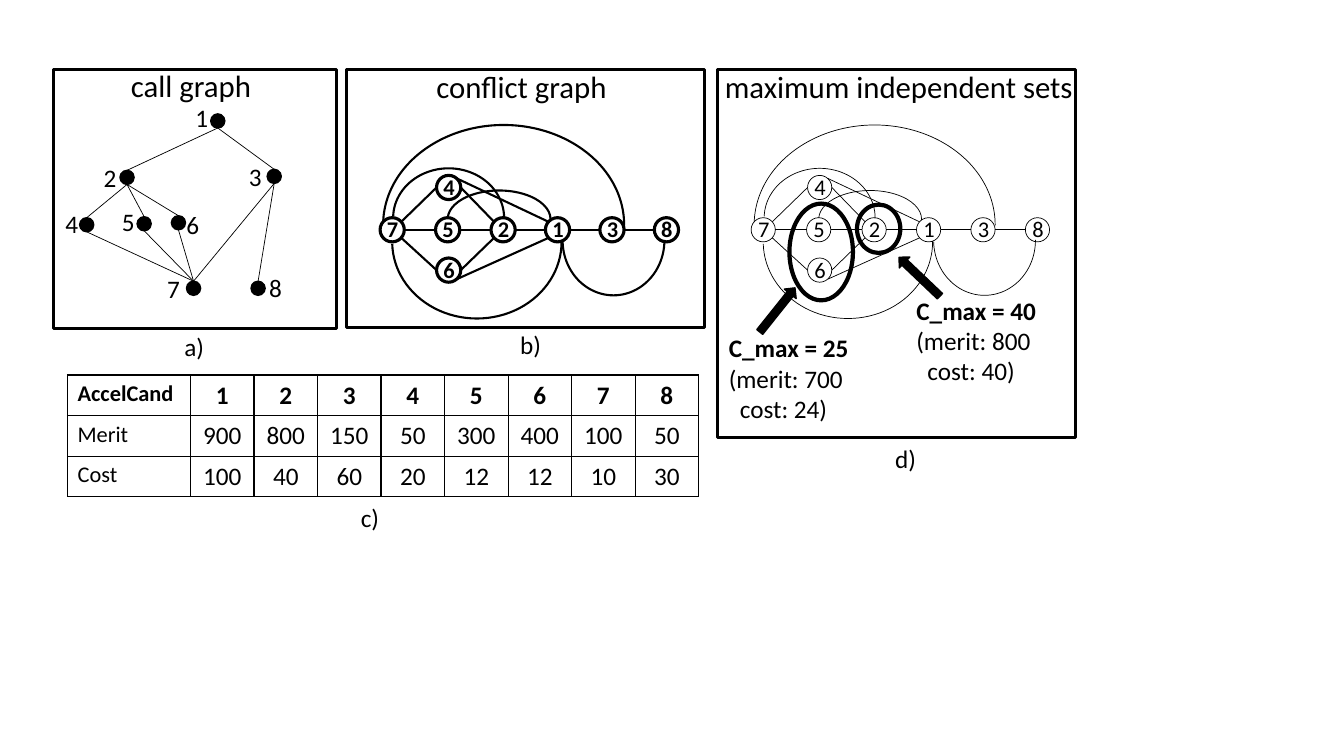
from lxml import etree
from pptx import Presentation
from pptx.dml.color import RGBColor
from pptx.enum import shapes, text
from pptx.oxml.ns import qn
from pptx.util import Inches, Pt

INK = "000000"
WHITE = "FFFFFF"
SHAPE = shapes.MSO_SHAPE
LEFT, CENTER = text.PP_ALIGN.LEFT, text.PP_ALIGN.CENTER

CALL_NODES = {
    1: (2.16, 1.2, 1.84, 0.97),
    2: (1.26, 1.76, 0.93, 1.56),
    3: (2.72, 1.75, 2.37, 1.55),
    4: (0.86, 2.23, 0.55, 2.02),
    5: (1.43, 2.22, 1.11, 2.0),
    6: (1.77, 2.21, 1.75, 2.03),
    7: (1.92, 2.86, 1.56, 2.66),
    8: (2.56, 2.86, 2.57, 2.65),
}
CALL_EDGES = [(1, 2), (1, 3), (2, 4), (2, 5), (2, 6), (4, 7), (5, 7),
              (6, 7), (3, 7), (3, 8)]

CHAIN_Y = 2.28
CHAIN = {7: 3.89, 5: 4.44, 2: 4.99, 1: 5.53, 3: 6.07, 8: 6.61}
CONFLICT_NODES = {n: (x, CHAIN_Y) for n, x in CHAIN.items()}
CONFLICT_NODES.update({4: (4.45, 1.86), 6: (4.45, 2.68)})
SLANTED_EDGES = [
    (4.57, 1.86, 4.9, 2.2), (4.57, 2.68, 4.9, 2.36),
    (4.33, 1.86, 3.98, 2.2), (4.33, 2.68, 3.98, 2.36),
    (4.53, 1.77, 5.44, 2.2), (4.53, 2.77, 5.44, 2.36),
]
ARCS = [
    (4.44, 1.89, 1.02, 0.57, 0.43, False),
    (3.8, 1.24, 2.39, 1.98, 0.14, False),
    (3.9, 1.67, 1.1, 0.98, 0.43, False),
    (3.89, 1.64, 1.68, 1.52, 0.31, True),
    (5.58, 1.84, 1.01, 1.09, 0.31, True),
]

CANDIDATES = [
    ["AccelCand", 1, 2, 3, 4, 5, 6, 7, 8],
    ["Merit", 900, 800, 150, 50, 300, 400, 100, 50],
    ["Cost", 100, 40, 60, 20, 12, 12, 10, 30],
]


def color(value):
    return RGBColor.from_string(value)


def add_text(tf, content, size=18, bold=False, align=LEFT, indent=0):
    p = tf.paragraphs[0]
    if p.runs:
        p = tf.add_paragraph()
    p.alignment = align
    if indent:
        p._p.get_or_add_pPr().set("marL", str(Inches(indent)))
    r = p.add_run()
    r.text = content
    r.font.name = "Calibri"
    r.font.size = Pt(size)
    r.font.bold = bold
    r.font.color.rgb = color(INK)


def add_box(s, x, y, w, h, wrap=True):
    sp = s.shapes.add_textbox(Inches(x), Inches(y), Inches(w), Inches(h))
    tf = sp.text_frame
    tf.word_wrap = wrap
    tf.auto_size = text.MSO_AUTO_SIZE.SHAPE_TO_FIT_TEXT
    return tf


def add_shape(s, kind, x, y, w, h, weight, fill=None):
    sp = s.shapes.add_shape(kind, Inches(x), Inches(y), Inches(w), Inches(h))
    sp.shadow.inherit = False
    if fill:
        sp.fill.solid()
        sp.fill.fore_color.rgb = color(fill)
    else:
        sp.fill.background()
    sp.line.color.rgb = color(INK)
    sp.line.width = Pt(weight)
    return sp


def add_line(s, x1, y1, x2, y2, weight):
    line = s.shapes.add_connector(shapes.MSO_CONNECTOR.STRAIGHT, Inches(x1),
                                  Inches(y1), Inches(x2), Inches(y2))
    line.line.color.rgb = color(INK)
    line.line.width = Pt(weight)
    etree.SubElement(line._element.spPr, qn("a:effectLst"))


def add_arc(s, x, y, w, h, end, flipped, weight):
    sp = add_shape(s, SHAPE.ARC, x, y, w, h, weight)
    sp.adjustments[0] = 108.81
    sp.adjustments[1] = end
    if flipped:
        sp._element.spPr.xfrm.set("flipV", "1")


def add_arrow(s, x, y, angle):
    sp = add_shape(s, SHAPE.RIGHT_ARROW, x, y, 0.56, 0.15, 1, INK)
    sp.rotation = angle


def add_panel(s, x, w, h, title, title_x, title_y, title_w):
    add_shape(s, SHAPE.RECTANGLE, x, 0.69, w, h, 2.25)
    add_text(add_box(s, title_x, title_y, title_w, 0.47, False), title, 22)


def add_call_graph(s):
    radius = 0.07
    for n, (x, y, label_x, label_y) in CALL_NODES.items():
        add_shape(s, SHAPE.OVAL, x - radius, y - radius,
                  2 * radius, 2 * radius, 1, INK)
        add_text(add_box(s, label_x, label_y, 0.26, 0.4), str(n))
    for caller, callee in CALL_EDGES:
        x1, y1 = CALL_NODES[caller][:2]
        x2, y2 = CALL_NODES[callee][:2]
        add_line(s, x1, y1 + radius, x2, y2 - radius, 0.5)


def add_conflict_graph(s, dx, node_weight, edge_weight, bold):
    radius = 0.12
    for n, (x, y) in CONFLICT_NODES.items():
        add_shape(s, SHAPE.OVAL, x + dx - radius, y - radius, 2 * radius,
                  2 * radius, node_weight, WHITE if n in (1, 2, 7) else None)
    stops = list(CHAIN.values())
    for x1, x2 in zip(stops, stops[1:]):
        add_line(s, x1 + dx + radius, CHAIN_Y, x2 + dx - radius, CHAIN_Y,
                 edge_weight)
    for x1, y1, x2, y2 in SLANTED_EDGES:
        add_line(s, x1 + dx, y1, x2 + dx, y2, edge_weight)
    for x, *rest in ARCS:
        add_arc(s, x + dx, *rest, edge_weight)
    for n, (x, y) in CONFLICT_NODES.items():
        add_text(add_box(s, x + dx - 0.15, y - 0.19, 0.47, 0.37), str(n),
                 16, bold)


def add_borders(cell):
    tcPr = cell._tc.get_or_add_tcPr()
    for side in ("a:lnL", "a:lnR", "a:lnT", "a:lnB"):
        ln = etree.SubElement(tcPr, qn(side), w=str(Pt(1)))
        fill = etree.SubElement(ln, qn("a:solidFill"))
        etree.SubElement(fill, qn("a:srgbClr"), val=INK)


def add_candidate_table(s):
    table = s.shapes.add_table(3, 9, Inches(0.67), Inches(3.72),
                               Inches(6.25), Inches(1.21)).table
    table.first_row = table.horz_banding = False
    for i, column in enumerate(table.columns):
        column.width = Inches(0.63 if i else 1.22)
    for i, values in enumerate(CANDIDATES):
        for j, value in enumerate(values):
            cell = table.cell(i, j)
            add_borders(cell)
            cell.fill.background()
            add_text(cell.text_frame, str(value), 18 if j else 16, i == 0,
                     CENTER if j else LEFT)


def add_set_note(s, x, y, w, c_max, merit, cost):
    tf = add_box(s, x, y, w, 1.01)
    add_text(tf, f"C_max = {c_max}", bold=True)
    add_text(tf, f"(merit: {merit}")
    add_text(tf, f"cost: {cost})", indent=0.11)


def main():
    prs = Presentation()
    prs.slide_width, prs.slide_height = Inches(13.33), Inches(7.5)
    s = prs.slides.add_slide(prs.slide_layouts[6])

    add_conflict_graph(s, 0, 2.25, 1.5, True)
    add_panel(s, 3.44, 3.55, 2.56, "conflict graph", 4.23, 0.62, 1.91)
    add_call_graph(s)
    add_panel(s, 0.53, 2.81, 2.57, "call graph", 1.2, 0.61, 1.4)
    add_candidate_table(s)

    add_conflict_graph(s, 3.68, 0.5, 0.5, False)
    add_panel(s, 7.12, 3.55, 3.65, "maximum independent sets",
              7.09, 0.62, 3.69)
    add_shape(s, SHAPE.OVAL, 7.83, 2.02, 0.63, 0.96, 3)
    add_shape(s, SHAPE.OVAL, 8.5, 2.03, 0.43, 0.48, 3)
    add_set_note(s, 7.13, 3.25, 1.43, 25, 700, 24)
    add_set_note(s, 8.99, 2.88, 1.61, 40, 800, 40)
    add_arrow(s, 7.43, 3, 308.6)
    add_arrow(s, 8.84, 2.67, 223.6)

    for caption, x, y, w in [("a)", 1.73, 3.24, 0.42), ("b)", 5.06, 3.22, 0.43),
                             ("c)", 3.48, 4.93, 0.41), ("d)", 8.78, 4.35, 0.43)]:
        add_text(add_box(s, x, y, w, 0.4, False), caption)
    prs.save("out.pptx")


if __name__ == "__main__":
    main()
